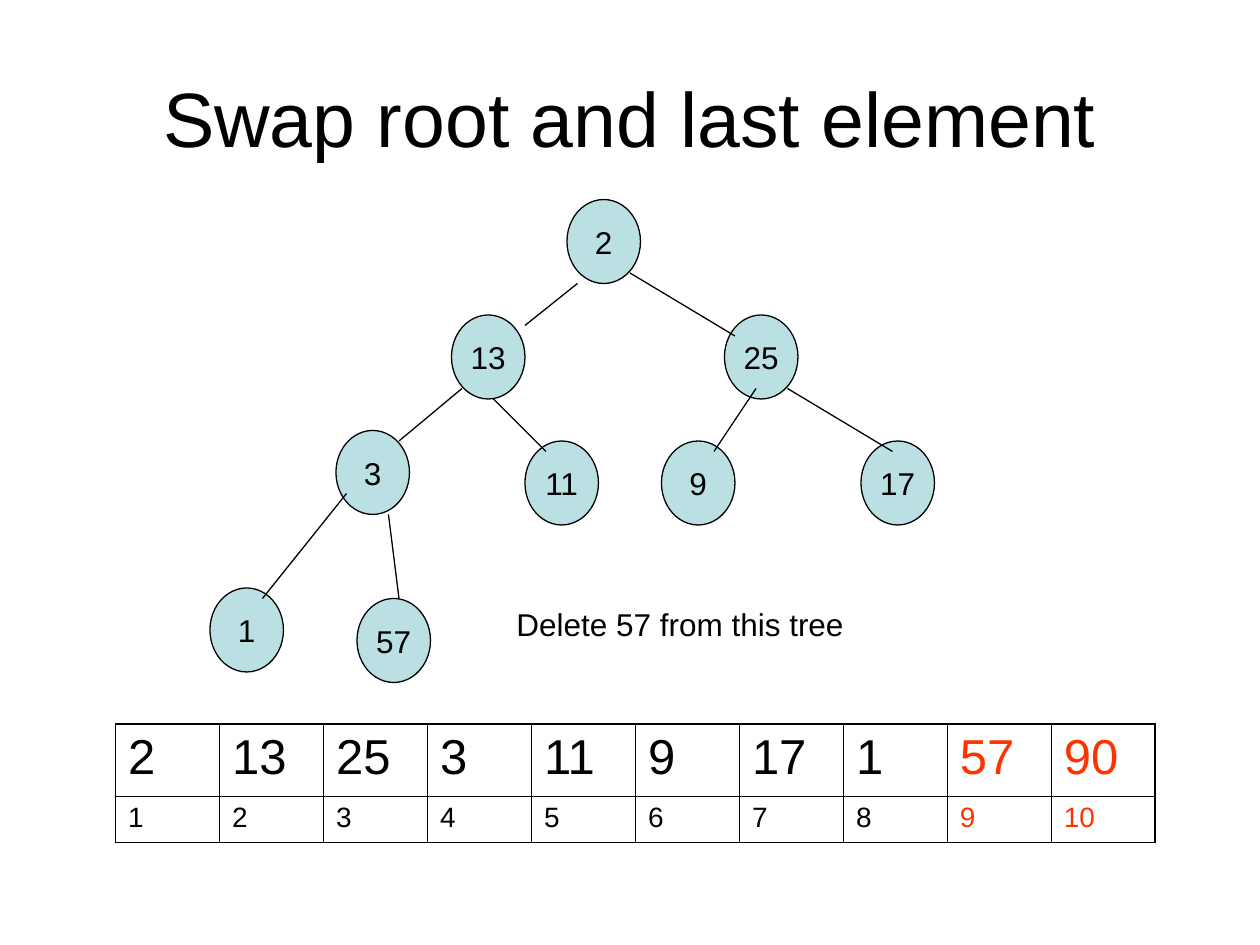
from lxml.etree import SubElement
from pptx import Presentation
from pptx.dml.color import RGBColor
from pptx.enum.shapes import MSO_CONNECTOR, MSO_SHAPE
from pptx.enum.text import MSO_ANCHOR, PP_ALIGN
from pptx.oxml.ns import qn
from pptx.util import Cm, Pt

# Content: places of nodes and edges are steps of a twelfth of an inch
TITLE = "Swap root and last element"
NOTE = "Delete 57 from this tree"
NODES = [
    ("2", 54, 19), ("13", 43, 30), ("25", 69, 30),
    ("3", 32, 41), ("11", 50, 42), ("9", 63, 42), ("17", 82, 42),
    ("1", 20, 56), ("57", 34, 57),
]
EDGES = [
    (55, 27, 50, 31), (60, 26, 70, 32),
    (44, 37, 38, 42), (47, 38, 52, 43), (72, 37, 68, 43), (75, 37, 85, 43),
    (33, 47, 25, 57), (37, 49, 38, 57),
]
HEAP = [2, 13, 25, 3, 11, 9, 17, 1, 57, 90]
REMOVED = 2  # trailing entries that no longer belong to the heap
ROWS = [  # values, row height in cm, text size
    (HEAP, 1.45, 28),
    (range(1, len(HEAP) + 1), 0.93, 16),
]
COLORS = {"text": "000000", "node": "BBE0E3", "removed": "FF3300"}
FONT = "Arial"
THIN, THICK = 0.45, 1.08


def grid(steps):
    return Cm(steps * 2.54 / 12)


def color(name):
    return RGBColor.from_string(COLORS[name])


def write(text_frame, text, size, color_name="text", align=PP_ALIGN.LEFT):
    paragraph = text_frame.paragraphs[0]
    paragraph.text = text
    paragraph.alignment = align
    paragraph.font.name = FONT
    paragraph.font.size = Pt(size)
    paragraph.font.color.rgb = color(color_name)


def add_text(slide, text, size, box, align=PP_ALIGN.LEFT, anchor=MSO_ANCHOR.TOP):
    text_frame = slide.shapes.add_textbox(*map(Cm, box)).text_frame
    text_frame.word_wrap = True
    text_frame.vertical_anchor = anchor
    write(text_frame, text, size, align=align)


def add_node(slide, label, left, top):
    node = slide.shapes.add_shape(
        MSO_SHAPE.OVAL, grid(left), grid(top), grid(7), grid(8))
    node.shadow.inherit = False
    node.fill.solid()
    node.fill.fore_color.rgb = color("node")
    node.line.color.rgb = color("text")
    node.line.width = Pt(0.75)
    node.text_frame.word_wrap = False
    node.text_frame.vertical_anchor = MSO_ANCHOR.MIDDLE
    write(node.text_frame, label, 18, align=PP_ALIGN.CENTER)


def add_edge(slide, *ends):
    edge = slide.shapes.add_connector(MSO_CONNECTOR.STRAIGHT, *map(grid, ends))
    edge.line.color.rgb = color("text")
    edge.line.width = Pt(0.75)
    SubElement(edge._element.spPr, qn("a:effectLst"))


def set_borders(cell, widths):
    properties = cell._tc.get_or_add_tcPr()
    for side, width in widths.items():
        line = SubElement(properties, qn(f"a:ln{side}"), w=str(Pt(width)))
        fill = SubElement(line, qn("a:solidFill"))
        SubElement(fill, qn("a:srgbClr"), val=COLORS["text"])


def add_heap_table(slide):
    last_row, last_column = len(ROWS) - 1, len(HEAP) - 1
    height = sum(row_height for _, row_height, _ in ROWS)
    table = slide.shapes.add_table(
        len(ROWS), len(HEAP), Cm(2.33), Cm(14.6), Cm(20.96), Cm(height)).table
    table.first_row = table.horz_banding = False
    for row, (values, row_height, size) in enumerate(ROWS):
        table.rows[row].height = Cm(row_height)
        for column, value in enumerate(values):
            cell = table.cell(row, column)
            removed = column >= len(HEAP) - REMOVED
            write(cell.text_frame, str(value), size,
                  "removed" if removed else "text")
            outer = {"L": column == 0, "R": column == last_column,
                     "T": row == 0, "B": row == last_row}
            set_borders(cell, {side: THICK if is_outer else THIN
                               for side, is_outer in outer.items()})
            cell.fill.background()


def main():
    presentation = Presentation()
    presentation.slide_width, presentation.slide_height = Cm(25.4), Cm(19.05)
    slide = presentation.slides.add_slide(presentation.slide_layouts[6])

    # Title
    add_text(slide, TITLE, 44, (1.27, 0.76, 22.86, 3.18),
             PP_ALIGN.CENTER, MSO_ANCHOR.MIDDLE)

    # Tree
    for node in NODES:
        add_node(slide, *node)
    for edge in EDGES:
        add_edge(slide, *edge)

    # Heap as an array, and the note
    add_heap_table(slide)
    add_text(slide, NOTE, 18, (10.16, 12.07, 12.7, 1.02))

    presentation.save("out.pptx")


if __name__ == "__main__":
    main()
